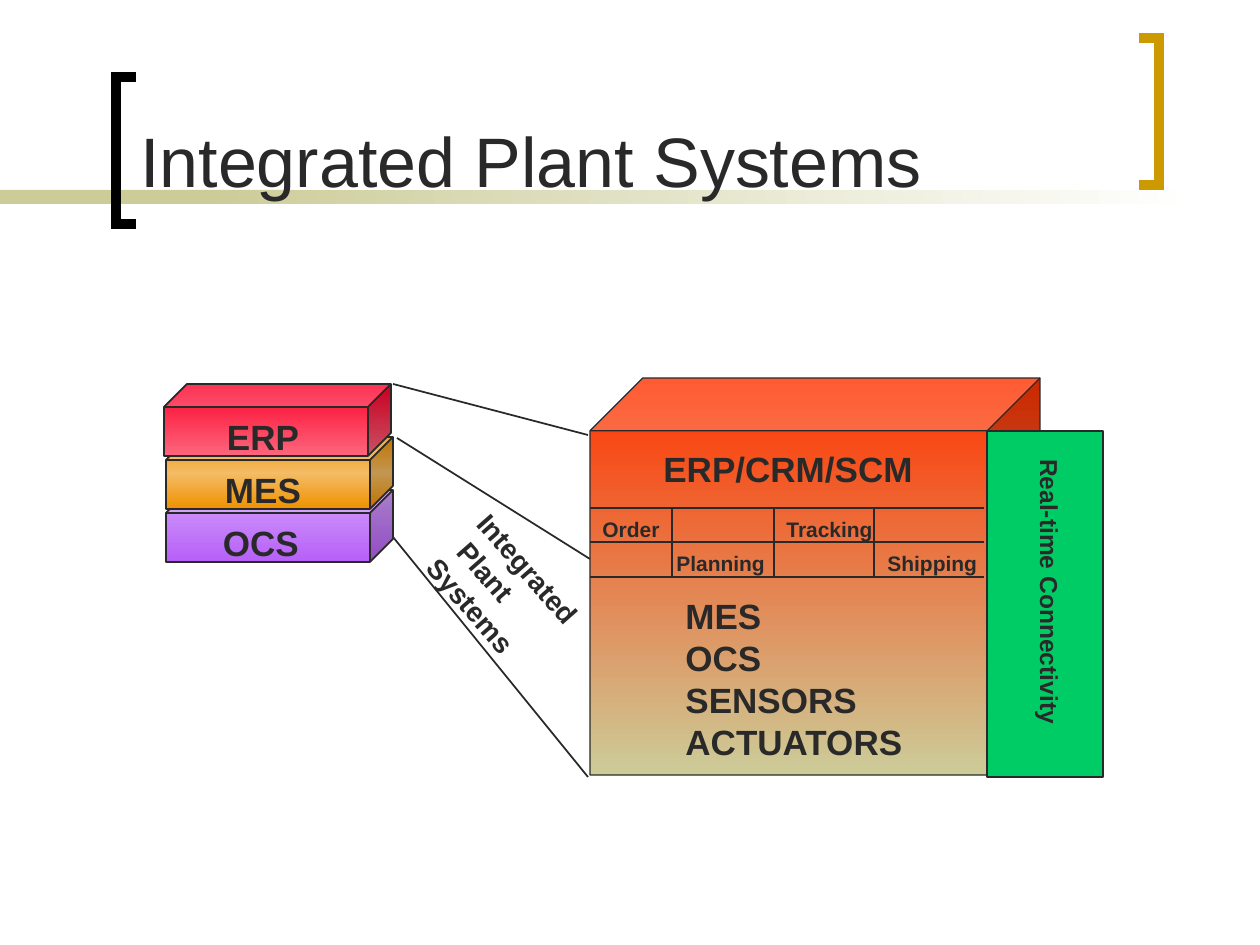
from dataclasses import dataclass
from copy import deepcopy

from lxml import etree
from pptx import Presentation
from pptx.dml.color import RGBColor
from pptx.enum.shapes import MSO_CONNECTOR, MSO_SHAPE
from pptx.enum.text import MSO_ANCHOR, PP_ALIGN
from pptx.oxml.ns import qn
from pptx.util import Emu, Pt

RECT, CUBE = MSO_SHAPE.RECTANGLE, MSO_SHAPE.CUBE
STRAIGHT = MSO_CONNECTOR.STRAIGHT
TOP, MIDDLE, BOTTOM = MSO_ANCHOR.TOP, MSO_ANCHOR.MIDDLE, MSO_ANCHOR.BOTTOM
LEFT, CENTER = PP_ALIGN.LEFT, PP_ALIGN.CENTER
PX_PER_INCH = 126


@dataclass(frozen=True)
class Theme:
    font: str = "Arial"
    ink: str = "292929"
    black: str = "000000"
    white: str = "FFFFFF"
    gold: str = "CC9900"
    khaki: str = "CCCC99"
    green: str = "00CC66"
    plant: tuple = ("FF3300", "CCCC99")
    erp: tuple = ("FC0128", "FC667D")
    mes: tuple = ("EF9100", "F4BC65", "EF9100")
    ocs: tuple = ("D29EFA", "B760F9")
    title: int = 40
    heading: int = 20
    slanted: int = 16
    upright: int = 14
    small: int = 12


THEME = Theme()


def px(length):
    return Emu(round(length * 914400 / PX_PER_INCH))


def rgb(color):
    return RGBColor.from_string(color)


def set_line(item, color, width):
    item.line.color.rgb = rgb(color)
    item.line.width = Pt(width)


def set_gradient(shape, colors, angle):
    """Spread the colours evenly; the angle runs counter-clockwise."""
    shape.fill.gradient()
    shape.fill.gradient_angle = angle
    stop_list = shape._element.spPr.find(".//" + qn("a:gsLst"))
    for _ in colors[2:]:
        stop_list.append(deepcopy(stop_list[0]))
    for index, stop in enumerate(shape.fill.gradient_stops):
        stop.color.rgb = rgb(colors[index])
        stop.position = index / (len(colors) - 1)


def add_block(slide, kind, box, fill, angle=270, line_width=None, depth=None):
    """Draw a preset shape; a tuple of colours as fill makes a gradient."""
    block = slide.shapes.add_shape(kind, *map(px, box))
    block.shadow.inherit = False
    if depth is not None:
        block.adjustments[0] = depth
    if isinstance(fill, tuple):
        set_gradient(block, fill, angle)
    else:
        block.fill.solid()
        block.fill.fore_color.rgb = rgb(fill)
    if line_width:
        set_line(block, THEME.ink, line_width)
    else:
        block.line.fill.background()


def add_bracket(slide, tip, spine, top, bottom, color):
    builder = slide.shapes.build_freeform(px(tip), px(top))
    corners = [(spine, top), (spine, bottom), (tip, bottom)]
    builder.add_line_segments([(px(x), px(y)) for x, y in corners], close=False)
    bracket = builder.convert_to_shape()
    bracket.shadow.inherit = False
    bracket.fill.background()
    set_line(bracket, color, 6)
    etree.SubElement(bracket.line._get_or_add_ln(), qn("a:miter"), lim="800000")


def add_line(slide, start, end, width=1):
    line = slide.shapes.add_connector(STRAIGHT, *map(px, start + end))
    set_line(line, THEME.ink, width)
    etree.SubElement(line._element.spPr, qn("a:effectLst"))


def add_text(slide, box, *paragraphs, size=THEME.heading, bold=True, align=LEFT,
             anchor=TOP, wrap=False, rotation=0, indents=()):
    """Write paragraphs; indents maps to their first lines, in order."""
    text_box = slide.shapes.add_textbox(*map(px, box))
    text_box.rotation = rotation
    frame = text_box.text_frame
    frame.word_wrap = wrap
    frame.vertical_anchor = anchor
    for index, text in enumerate(paragraphs):
        paragraph = frame.add_paragraph() if index else frame.paragraphs[0]
        paragraph.text = text
        paragraph.alignment = align
        if index < len(indents):
            paragraph._p.get_or_add_pPr().set("indent", str(px(indents[index])))
        for run in paragraph.runs:
            run.font.name = THEME.font
            run.font.size = Pt(size)
            run.font.bold = bold
            run.font.color.rgb = rgb(THEME.ink)


def add_header(slide):
    add_block(slide, RECT, (0, 190, 294, 14), THEME.khaki)
    add_block(slide, RECT, (199, 190, 998, 14), (THEME.khaki, THEME.white), angle=0)
    add_bracket(slide, 136, 116, 77, 224, THEME.black)
    add_bracket(slide, 1139, 1159, 38, 185, THEME.gold)
    add_text(slide, (128, 13, 987, 195), "Integrated Plant Systems",
             size=THEME.title, bold=False, anchor=BOTTOM, wrap=True)


def add_system_stack(slide):
    """Stack the layers from the lowest up, so each covers the one below."""
    layers = [("OCS", 166, 261, THEME.ocs),
              ("MES", 166, 263, THEME.mes),
              ("ERP", 164, 263, THEME.erp)]
    for level, (name, left, label_center, colors) in enumerate(layers):
        top = 490 - 53 * level
        add_block(slide, CUBE, (left, top, 227, 72), colors,
                  line_width=1, depth=0.32)
        add_text(slide, (label_center - 102, top + 25, 204, 55), name,
                 align=CENTER, wrap=True)


def add_expansion(slide):
    for start, end in [((393, 384), (588, 435)),
                       ((397, 438), (590, 559)),
                       ((393, 537), (588, 777))]:
        add_line(slide, start, end)
    add_text(slide, (422, 536, 165, 113), "Integrated", "Plant\vSystems",
             size=THEME.slanted, wrap=True, rotation=48.7, indents=(0, 8))


def add_plant(slide):
    face_left, grid_right = 590, 984
    rows, columns = (508, 542, 577), (672, 774, 874)
    add_block(slide, CUBE, (face_left, 378, 450, 397), THEME.plant,
              line_width=0.75, depth=0.133)
    functions = [("Order", 590), ("Planning", 664),
                 ("Tracking", 774), ("Shipping", 875)]
    for index, (name, left) in enumerate(functions):
        add_text(slide, (left, rows[index % 2] + 2, 124, 38), name,
                 size=THEME.small)
    add_text(slide, (651, 441, 290, 55), "ERP/CRM/SCM")
    add_text(slide, (673, 588, 260, 181), "MES\vOCS", "SENSORS", "ACTUATORS")
    for y, width in zip(rows, (1, 0.75, 1)):
        add_line(slide, (face_left, y), (grid_right, y), width)
    for x in columns:
        add_line(slide, (x, rows[0]), (x, rows[-1]))


def add_connectivity(slide):
    add_block(slide, RECT, (987, 431, 116, 346), THEME.green, line_width=1)
    add_text(slide, (895, 570, 310, 43), "Real-time Connectivity",
             size=THEME.upright, align=CENTER, anchor=MIDDLE, rotation=90)


def main():
    deck = Presentation()
    deck.slide_width, deck.slide_height = px(1260), px(945)
    slide = deck.slides.add_slide(deck.slide_layouts[6])
    add_header(slide)
    add_system_stack(slide)
    add_expansion(slide)
    add_plant(slide)
    add_connectivity(slide)
    deck.save("out.pptx")


if __name__ == "__main__":
    main()
